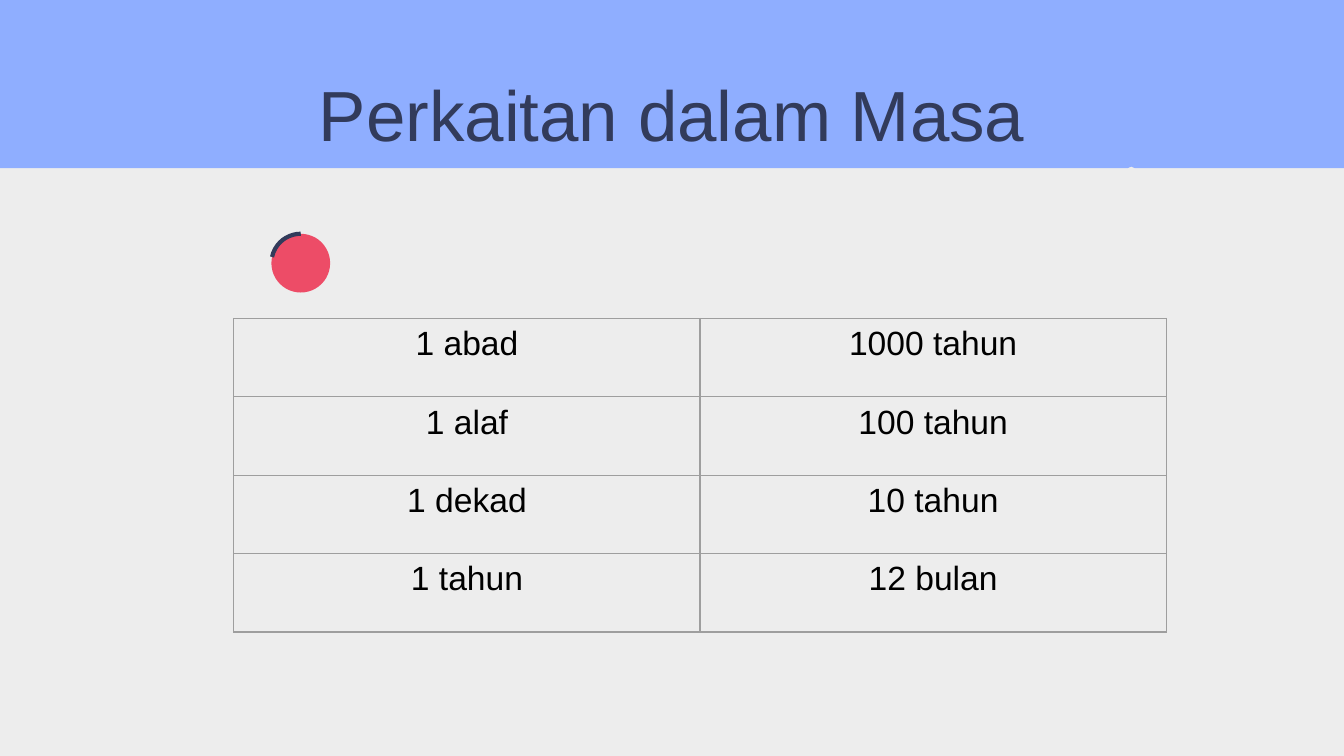
import pptx
import pptx.dml.color
import pptx.enum.shapes
import pptx.enum.text
import pptx.oxml
import pptx.oxml.ns
import pptx.util

Cm = pptx.util.Cm
Pt = pptx.util.Pt
COLORS = {
    "background": "EDEDED",
    "band": "8FAEFF",
    "navy": "323B5B",
    "red": "ED4C67",
    "text": "000000",
    "border": "9E9E9E",
}
ROWS = [
    ("1 abad", "1000 tahun"),
    ("1 alaf", "100 tahun"),
    ("1 dekad", "10 tahun"),
    ("1 tahun", "12 bulan"),
]


def rgb(name):
    return pptx.dml.color.RGBColor.from_string(COLORS[name])


def write_text(text_frame, text, size=18, color="text", font="Arial"):
    paragraph = text_frame.paragraphs[0]
    paragraph.alignment = pptx.enum.text.PP_ALIGN.CENTER
    run = paragraph.add_run()
    run.text = text
    run.font.size = Pt(size)
    run.font.name = font
    run.font.bold = False
    run.font.color.rgb = rgb(color)


def set_borders(cell, color="border", width=0.75):
    properties = cell._tc.get_or_add_tcPr()
    for index, side in enumerate(("lnL", "lnR", "lnT", "lnB")):
        line = pptx.oxml.parse_xml(
            f'<a:{side} {pptx.oxml.ns.nsdecls("a")} w="{Pt(width)}"><a:solidFill>'
            f'<a:srgbClr val="{COLORS[color]}"/></a:solidFill></a:{side}>'
        )
        properties.insert(index, line)


def add_band(slide, left, top, width, height):
    bottom = top + height
    notch = left + Cm(21.38)
    builder = slide.shapes.build_freeform(left, top)
    builder.add_line_segments([
        (left, bottom),
        (notch - Cm(0.07), bottom),
        (notch, bottom - Cm(0.03)),
        (notch + Cm(0.07), bottom),
        (left + width, bottom),
        (left + width, top),
    ])
    band = builder.convert_to_shape()
    band.shadow.inherit = False
    band.fill.solid()
    band.fill.fore_color.rgb = rgb("band")
    band.line.fill.background()
    slide.shapes.element.insert(2, band.element)


def add_title(slide, left, top, width, height):
    title = slide.shapes.title
    title.left, title.top, title.width, title.height = left, top, width, height
    text_frame = title.text_frame
    text_frame.word_wrap = True
    text_frame.auto_size = pptx.enum.text.MSO_AUTO_SIZE.NONE
    text_frame.vertical_anchor = pptx.enum.text.MSO_ANCHOR.TOP
    text_frame.margin_left = text_frame.margin_right = Cm(0.25)
    text_frame.margin_top, text_frame.margin_bottom = Cm(0.39), 0
    write_text(text_frame, "Perkaitan dalam Masa", size=38, color="navy")


def add_marker(slide, left, top, width, height):
    kinds = pptx.enum.shapes.MSO_SHAPE
    group = slide.shapes.add_group_shape()
    disc = group.shapes.add_shape(kinds.OVAL, left, top, width, height)
    disc.shadow.inherit = False
    disc.fill.solid()
    disc.fill.fore_color.rgb = rgb("red")
    disc.line.fill.background()

    arc = group.shapes.add_shape(kinds.ARC, left, top, width, height)
    arc.shadow.inherit = False
    arc.adjustments[0] = 192.1 * 0.6
    arc.adjustments[1] = 270 * 0.6
    arc.fill.background()
    arc.line.color.rgb = rgb("navy")
    arc.line.width = Pt(2.25)


def add_time_table(slide, left, top, width, height):
    frame = slide.shapes.add_table(len(ROWS), len(ROWS[0]), left, top, width, height)
    table = frame.table
    table.first_row = table.horz_banding = False
    for row_index, row in enumerate(ROWS):
        for column_index, text in enumerate(row):
            cell = table.cell(row_index, column_index)
            cell.fill.background()
            set_borders(cell)
            write_text(cell.text_frame, text)


def main():
    presentation = pptx.Presentation()
    presentation.slide_width = Cm(25.4)
    presentation.slide_height = Cm(14.29)
    slide = presentation.slides.add_slide(presentation.slide_layouts[5])
    slide.background.fill.solid()
    slide.background.fill.fore_color.rgb = rgb("background")
    add_band(slide, Cm(0), Cm(0), Cm(25.4), Cm(3.18))
    add_title(slide, Cm(1.98), Cm(0.94), Cm(21.44), Cm(1.96))
    add_marker(slide, Cm(5.13), Cm(4.42), Cm(1.11), Cm(1.11))
    add_time_table(slide, Cm(4.42), Cm(6.02), Cm(17.62), Cm(5.93))
    presentation.save("out.pptx")


if __name__ == "__main__":
    main()
